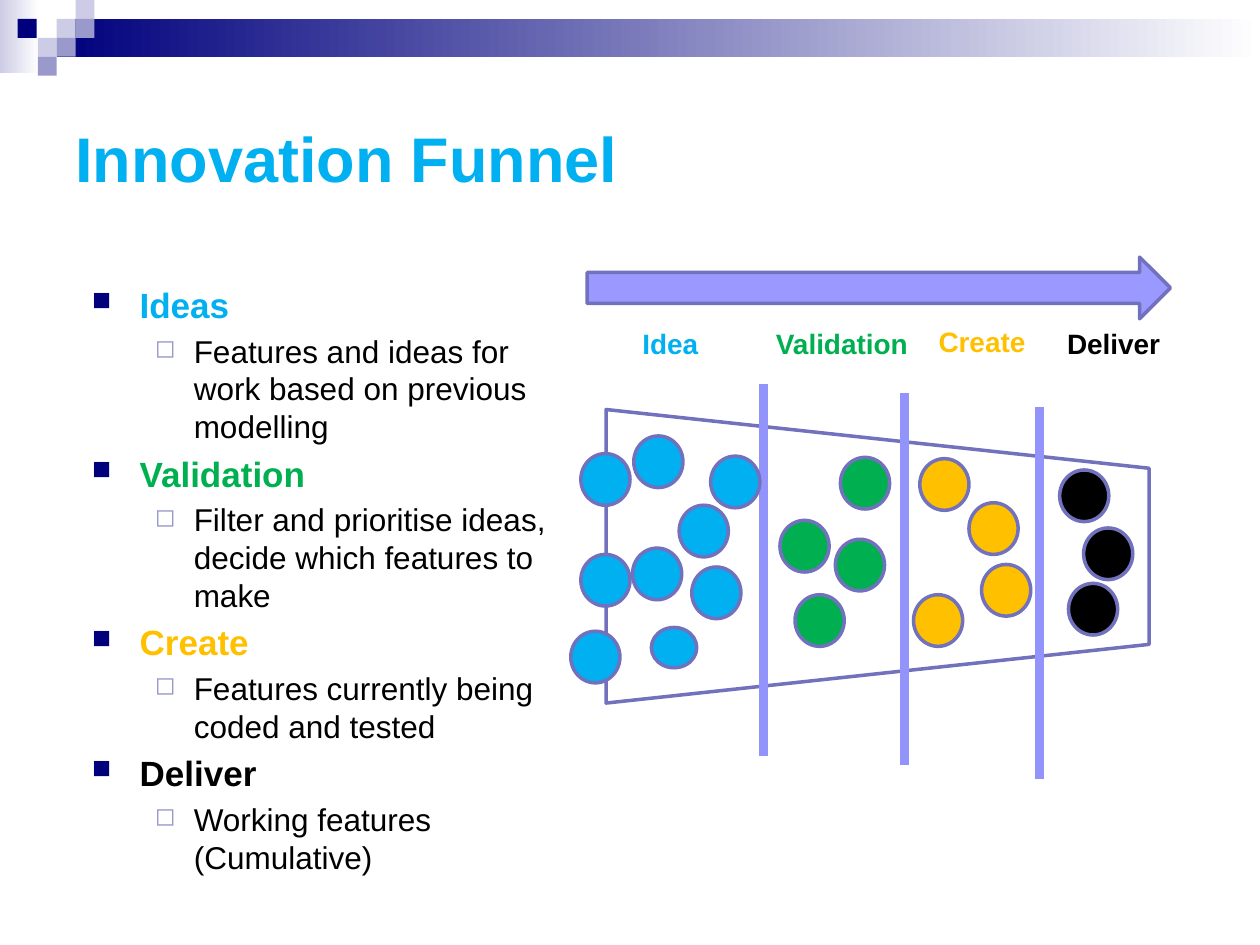
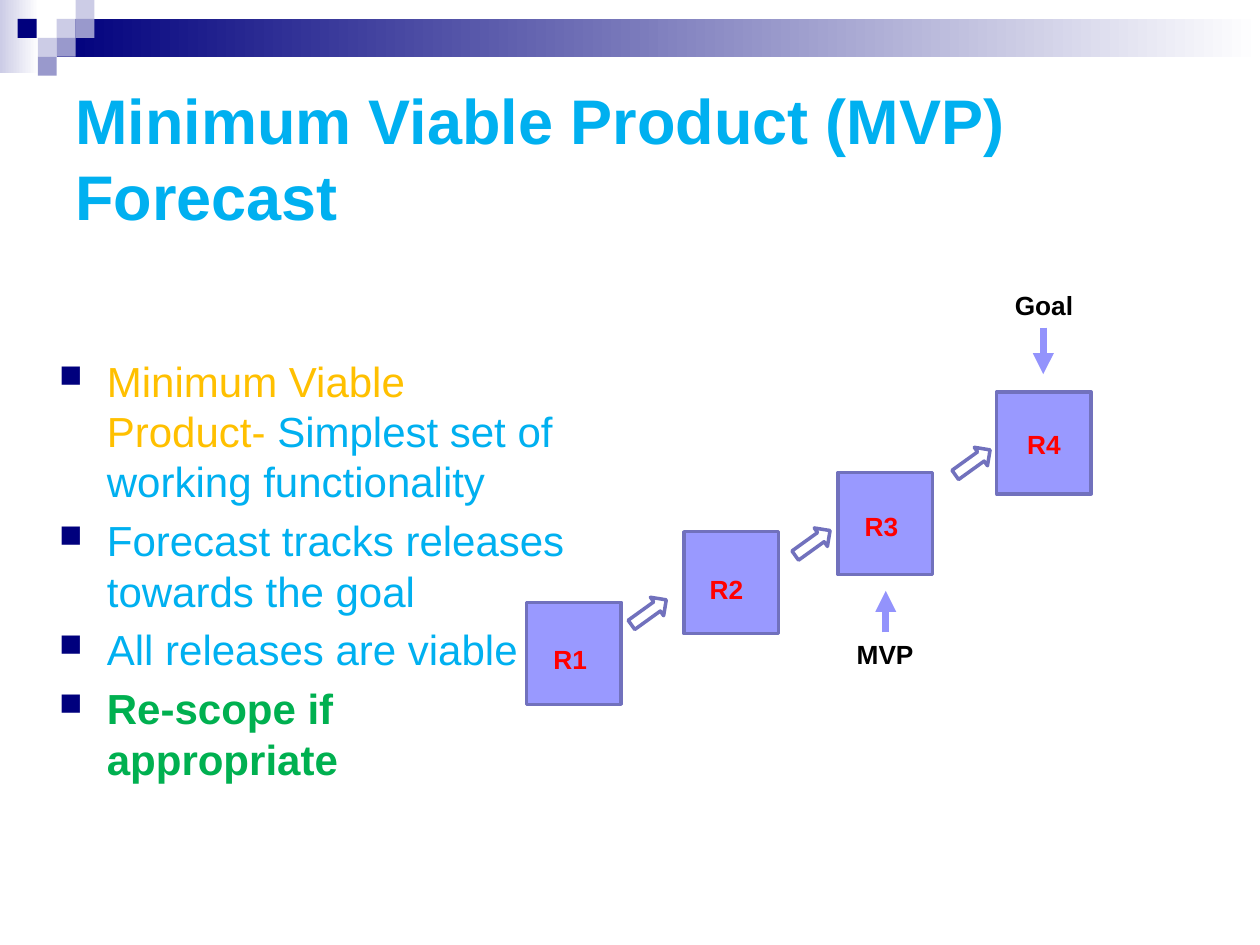
from lxml import etree
from pptx import Presentation
from pptx.dml.color import RGBColor
from pptx.enum.shapes import MSO_CONNECTOR, MSO_SHAPE as SHAPE
from pptx.enum.text import MSO_ANCHOR as ANCHOR, PP_ALIGN as ALIGN
from pptx.oxml.ns import qn
from pptx.util import Pt

PX = 9144
FONT = "Arial"
WHITE = RGBColor(0xFF, 0xFF, 0xFF)
BLACK = RGBColor(0, 0, 0)
NAVY = RGBColor(0x00, 0x00, 0x7D)
PALE = RGBColor(0xCC, 0xCC, 0xE6)
MID = RGBColor(0x99, 0x99, 0xCC)
VIOLET = RGBColor(0x99, 0x99, 0xFF)
OUTLINE = RGBColor(0x71, 0x71, 0xBD)
GATE = RGBColor(0x93, 0x93, 0xFC)
BLUE = RGBColor(0x00, 0xB0, 0xF0)
GREEN = RGBColor(0x00, 0xB0, 0x50)
AMBER = RGBColor(0xFF, 0xC0, 0x00)
RED = RGBColor(0xFF, 0x00, 0x00)

TILE = 15
TILES = [(45, 15, PALE), (60, 0, PALE), (60, 15, MID), (30, 30, PALE),
         (14, 15, NAVY), (45, 30, MID), (30, 45, MID)]
LEVELS = [("■", NAVY, 75, 38, -38), ("◻", MID, 80, 81, -31)]

STAGES = [
    ("Ideas", BLUE, "Features and ideas for work based on previous modelling"),
    ("Validation", GREEN,
     "Filter and prioritise ideas, decide which features to make"),
    ("Create", AMBER, "Features currently being coded and tested"),
    ("Deliver", BLACK, "Working features (Cumulative)"),
]
STAGE_LABELS = [("Idea", 500, 254, 66, BLUE), ("Validation", 606, 254, 131, GREEN),
                ("Create", 735, 253, 89, AMBER), ("Deliver", 837, 254, 99, BLACK)]
GATES = [(718, 312), (825, 323), (606, 305)]
GATE_H = 295
DOT_W, DOT_H = 39, 41
DOTS = [
    (BLUE, [(461, 360), (453, 501), (461, 440), (564, 362), (549, 450),
            (502, 435), (539, 401), (503, 346)]),
    (GREEN, [(667, 363), (619, 413), (663, 428), (631, 472)]),
    (AMBER, [(730, 364), (769, 399), (779, 448), (725, 472)]),
    (BLACK, [(860, 419), (841, 373), (848, 463)]),
]

MVP_POINTS = [
    [("Minimum Viable Product- ", AMBER, False),
     ("Simplest set of working functionality", BLUE, False)],
    [("Forecast tracks releases towards the goal", BLUE, False)],
    [("All releases are viable", BLUE, False)],
    [("Re-scope if appropriate", GREEN, True)],
]
RELEASES = [("R1", 418, 478, 415, 506), ("R2", 543, 422, 539, 450),
            ("R3", 665, 375, 662, 400), ("R4", 791, 311, 791, 335)]
STEP_ARROWS = [(498, 477), (628, 422), (755, 358)]


def emu(*lengths):
    return [n * PX for n in lengths]


def add_shape(s, kind, box, fill=None, line=None):
    sp = s.shapes.add_shape(kind, *emu(*box))
    sp.shadow.inherit = False
    if fill is None:
        sp.fill.background()
    else:
        sp.fill.solid()
        sp.fill.fore_color.rgb = fill
    if line is None:
        sp.line.fill.background()
    else:
        sp.line.color.rgb = line
        sp.line.width = Pt(2)
    return sp


def add_fade(s, box, color):
    sp = add_shape(s, SHAPE.RECTANGLE, box)
    sp.fill.gradient()
    sp.fill.gradient_angle = 0
    for stop, rgb in zip(sp.fill.gradient_stops, (color, WHITE)):
        stop.color.rgb = rgb


def add_line(s, start, end, width, arrow=False):
    cn = s.shapes.add_connector(MSO_CONNECTOR.STRAIGHT, *emu(*start, *end))
    cn.line.color.rgb = GATE
    cn.line.width = Pt(width)
    if arrow:
        etree.SubElement(cn.line._get_or_add_ln(), qn("a:tailEnd"), type="triangle")
    etree.SubElement(cn._element.spPr, qn("a:effectLst"))


def add_run(p, text, size, color, bold):
    r = p.add_run()
    r.text = text
    r.font.name = FONT
    r.font.size = Pt(size)
    r.font.bold = bold
    r.font.color.rgb = color


def add_text(s, box, text, size, color, align=ALIGN.LEFT, wrap=True,
             anchor=ANCHOR.TOP):
    tf = s.shapes.add_textbox(*emu(*box)).text_frame
    tf.word_wrap = wrap
    tf.vertical_anchor = anchor
    p = tf.paragraphs[0]
    p.alignment = align
    add_run(p, text, size, color, True)


def set_bullet(p, level, size):
    char, color, percent, margin, indent = LEVELS[level]
    p.level = level
    p.space_before = Pt(size * 0.2)
    pPr = p._p.get_or_add_pPr()
    pPr.set("marL", str(margin * PX))
    pPr.set("indent", str(indent * PX))
    clr = etree.SubElement(pPr, qn("a:buClr"))
    etree.SubElement(clr, qn("a:srgbClr"), val=str(color))
    etree.SubElement(pPr, qn("a:buSzPct"), val=str(percent * 1000))
    etree.SubElement(pPr, qn("a:buChar"), char=char)


def add_bullets(s, box, items):
    tf = s.shapes.add_textbox(*emu(*box)).text_frame
    tf.word_wrap = True
    for i, (level, size, runs) in enumerate(items):
        p = tf.add_paragraph() if i else tf.paragraphs[0]
        set_bullet(p, level, size)
        for text, color, bold in runs:
            add_run(p, text, size, color, bold)


def add_base(prs, title):
    s = prs.slides.add_slide(prs.slide_layouts[6])
    add_fade(s, (0, 0, 31, 58), PALE)
    add_fade(s, (45, 15, 955, 30), NAVY)
    for x, y, color in TILES:
        add_shape(s, SHAPE.RECTANGLE, (x, y, TILE, TILE), color)
    add_text(s, (50, 50, 900, 150), title, 36, BLUE, anchor=ANCHOR.MIDDLE)
    return s


def build_funnel(prs):
    s = add_base(prs, "Innovation Funnel")
    items = []
    for name, color, detail in STAGES:
        items += [(0, 20, [(name, color, True)]), (1, 18, [(detail, BLACK, False)])]
    add_bullets(s, (63, 220, 389, 406), items)

    funnel = add_shape(s, SHAPE.FLOWCHART_MANUAL_OPERATION, (580, 226, 233, 431),
                       line=OUTLINE)
    funnel.rotation = 270
    for x, y in GATES:
        add_line(s, (x, y + GATE_H), (x, y), 5)
    for text, x, y, w, color in STAGE_LABELS:
        add_text(s, (x, y, w, 37), text, 16, color, wrap=False)
    add_shape(s, SHAPE.OVAL, (517, 498, 36, 32), BLUE, OUTLINE)
    for color, spots in DOTS:
        for x, y in spots:
            add_shape(s, SHAPE.OVAL, (x, y, DOT_W, DOT_H), color, OUTLINE)
    add_shape(s, SHAPE.RIGHT_ARROW, (466, 204, 463, 49), VIOLET, OUTLINE)


def build_forecast(prs):
    s = add_base(prs, "Minimum Viable Product (MVP) Forecast")
    add_bullets(s, (37, 277, 428, 357), [(0, 24, runs) for runs in MVP_POINTS])
    for name, x, y, label_x, label_y in RELEASES:
        add_shape(s, SHAPE.RECTANGLE, (x, y, 75, 81), VIOLET, OUTLINE)
        add_text(s, (label_x, label_y, 75, 35), name, 15, RED, ALIGN.CENTER)
    for x, y in STEP_ARROWS:
        step = add_shape(s, SHAPE.RIGHT_ARROW, (x, y, 34, 18), line=OUTLINE)
        step.rotation = 324.3
    for text, x, y in (("Goal", 759, 225), ("MVP", 633, 502)):
        add_text(s, (x, y, 139, 35), text, 15, BLACK, ALIGN.CENTER)
    add_line(s, (828, 260), (828, 297), 4, arrow=True)
    add_line(s, (703, 502), (703, 469), 4, arrow=True)


def main():
    prs = Presentation()
    prs.slide_width, prs.slide_height = emu(1000, 750)
    build_funnel(prs)
    build_forecast(prs)
    prs.save("out.pptx")


if __name__ == "__main__":
    main()
